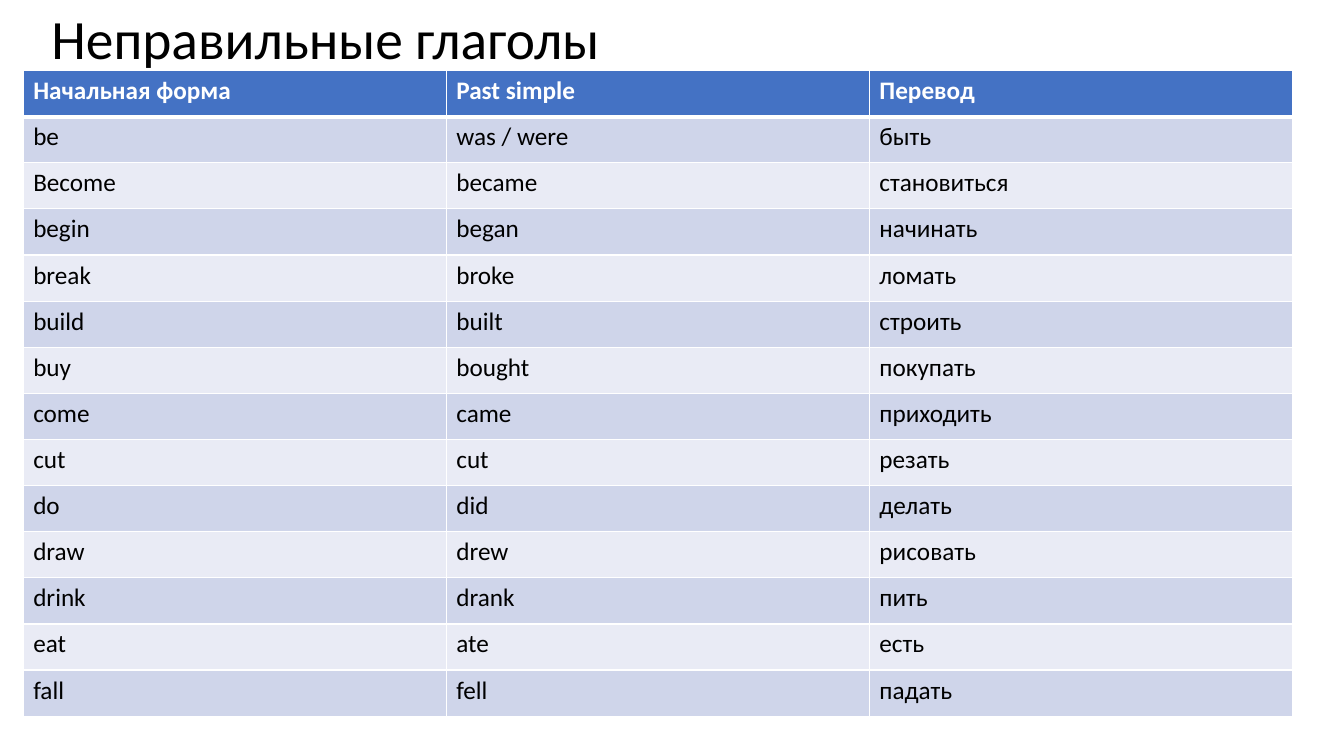
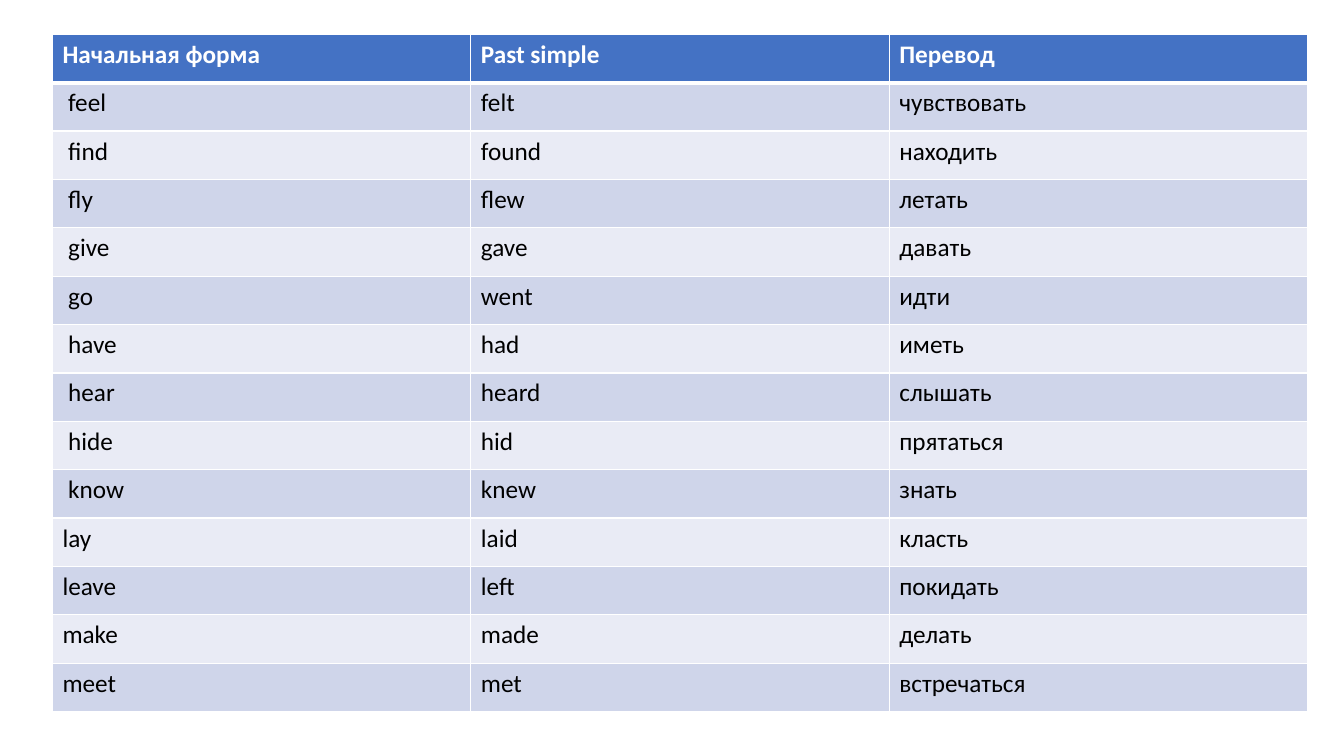
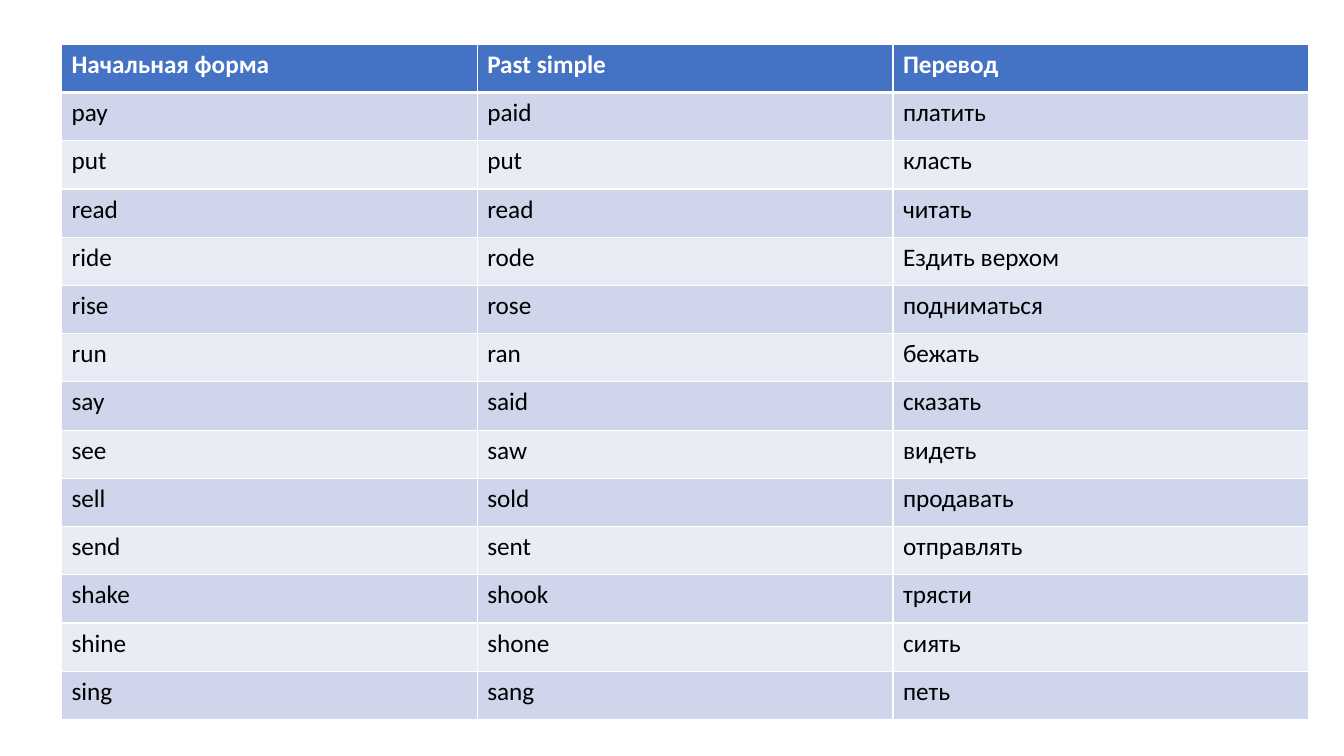
from dataclasses import dataclass

from lxml.etree import SubElement
from pptx import Presentation
from pptx.dml.color import RGBColor
from pptx.enum.text import MSO_ANCHOR, MSO_AUTO_SIZE, PP_ALIGN
from pptx.oxml.ns import qn
from pptx.util import Emu, Pt

PX = 9144  # 100 px to the inch


@dataclass(frozen=True)
class Theme:
    font: str = "Calibri"
    title: float = 39.6
    body: float = 18
    ink: str = "000000"
    paper: str = "FFFFFF"
    head: str = "4472C4"
    bands: tuple = ("CFD5EA", "E9EBF5")
    thin: float = 1
    thick: float = 3


@dataclass(frozen=True)
class Box:
    left: int
    top: int
    width: int
    height: int

    def emu(self):
        return [px(n) for n in (self.left, self.top, self.width, self.height)]


THEME = Theme()
TITLE_ONLY, BLANK = 5, 6
HEADS = "Начальная форма|Past simple|Перевод"

VERBS_B_F = """be|was / were|быть
Become|became|становиться
begin|began|начинать
break|broke|ломать
build|built|строить
buy|bought|покупать
come|came|приходить
cut|cut|резать
do|did|делать
draw|drew|рисовать
drink|drank|пить
eat|ate|есть
fall|fell|падать"""

VERBS_F_M = """ feel|felt|чувствовать
 find|found|находить
 fly|flew|летать
 give|gave|давать
 go|went|идти
 have|had|иметь
 hear|heard|слышать
 hide|hid|прятаться
 know|knew|знать
lay|laid|класть
leave|left|покидать
make|made|делать
meet|met|встречаться"""

VERBS_P_S = """pay|paid|платить
put|put|класть
read|read|читать
ride|rode|Ездить верхом
rise|rose|подниматься
run|ran|бежать
say|said|сказать
see|saw|видеть
sell|sold|продавать
send|sent|отправлять
shake|shook|трясти
shine|shone|сиять
sing|sang|петь"""


def px(n):
    return Emu(n * PX)


def style(para, size, color, bold=False):
    font = para.font
    font.name, font.size, font.bold = THEME.font, Pt(size), bold
    font.color.rgb = RGBColor.from_string(color)


def edge(cell, top, bottom):
    """Draw the four borders; must come before the cell's fill."""
    props = cell._tc.get_or_add_tcPr()
    sides = {"L": THEME.thin, "R": THEME.thin, "T": top, "B": bottom}
    for side, width in sides.items():
        line = SubElement(props, qn(f"a:ln{side}"), w=str(Pt(width)))
        fill = SubElement(line, qn("a:solidFill"))
        SubElement(fill, qn("a:srgbClr"), val=THEME.paper)


def add_cell(cell, text, row):
    head = row == 0
    edge(cell,
         top=THEME.thick if row == 1 else THEME.thin,
         bottom=THEME.thick if head else THEME.thin)
    cell.fill.solid()
    fill = THEME.head if head else THEME.bands[(row - 1) % 2]
    cell.fill.fore_color.rgb = RGBColor.from_string(fill)
    cell.text = text
    style(cell.text_frame.paragraphs[0], THEME.body,
          THEME.paper if head else THEME.ink, head)


def add_verbs(slide, box, verbs):
    rows = [line.split("|") for line in [HEADS, *verbs.split("\n")]]
    table = slide.shapes.add_table(len(rows), len(rows[0]), *box.emu()).table
    for r, row in enumerate(rows):
        for c, text in enumerate(row):
            add_cell(table.cell(r, c), text, r)


def add_title(slide, box, text):
    title = slide.shapes.title
    title.left, title.top, title.width, title.height = box.emu()
    frame = title.text_frame
    frame.text = text
    frame.auto_size = MSO_AUTO_SIZE.NONE
    frame.vertical_anchor = MSO_ANCHOR.MIDDLE
    para = frame.paragraphs[0]
    para.alignment = PP_ALIGN.LEFT
    para.line_spacing = 0.9
    style(para, THEME.title, THEME.ink)


def add_page(deck, box, verbs, title=None):
    layout = deck.slide_layouts[TITLE_ONLY if title else BLANK]
    slide = deck.slides.add_slide(layout)
    if title:
        add_title(slide, Box(41, 13, 1150, 57), title)
    add_verbs(slide, box, verbs)


def main():
    deck = Presentation()
    deck.slide_width, deck.slide_height = px(1333), px(750)
    add_page(deck, Box(23, 70, 1259, 641), VERBS_B_F, "Неправильные глаголы")
    add_page(deck, Box(52, 34, 1245, 672), VERBS_F_M)
    add_page(deck, Box(61, 44, 1237, 670), VERBS_P_S)
    deck.save("out.pptx")


if __name__ == "__main__":
    main()
